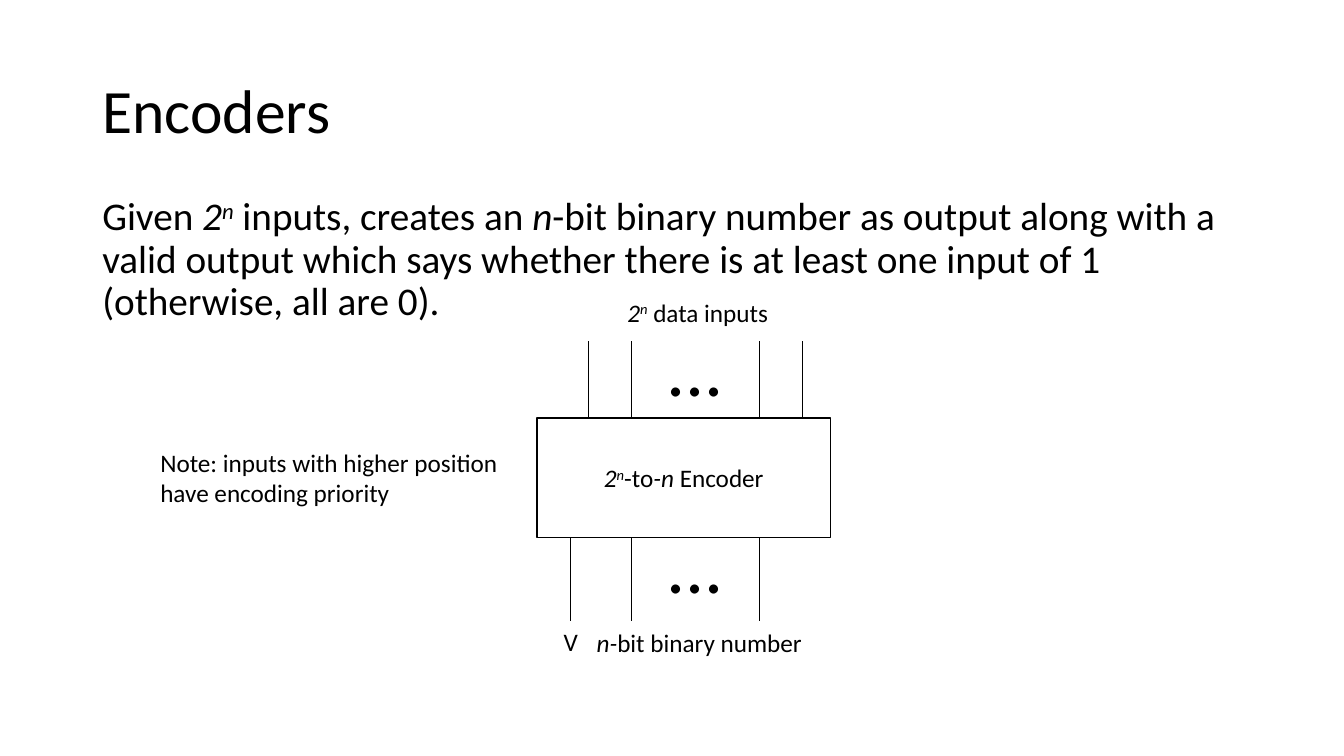
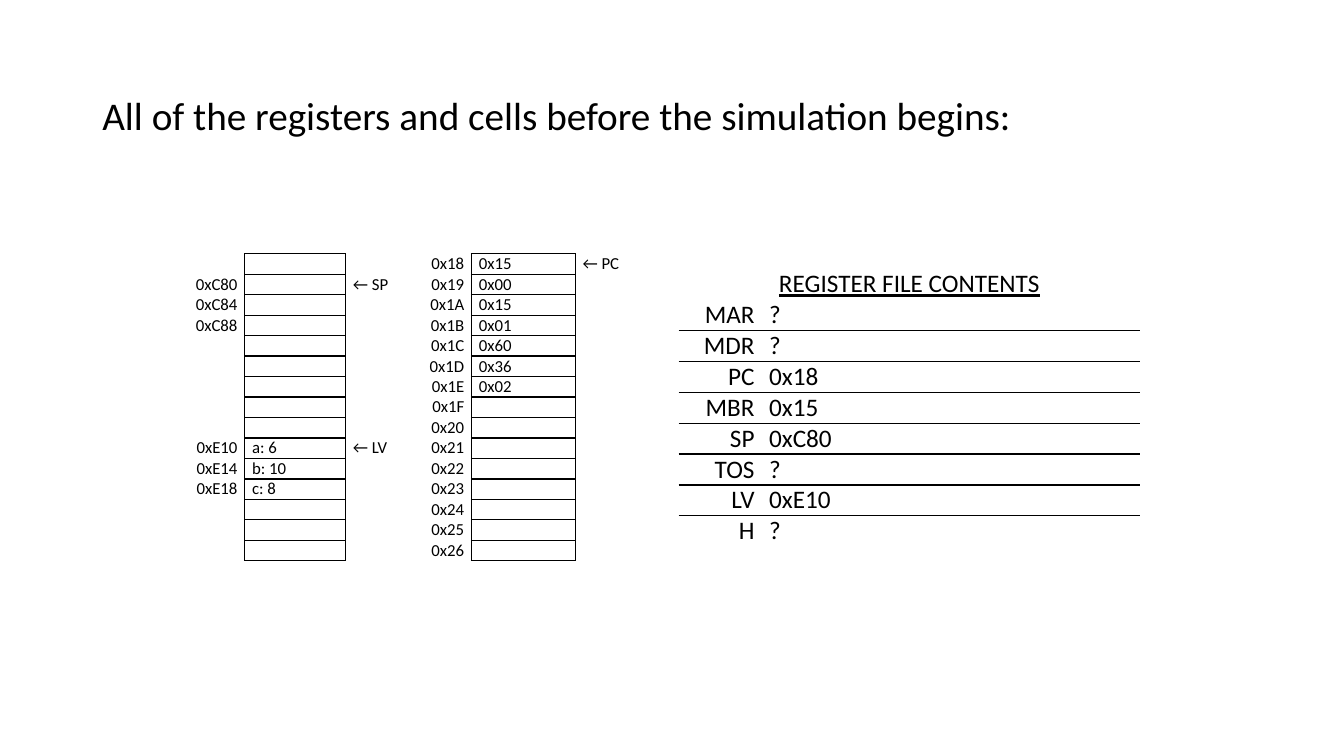
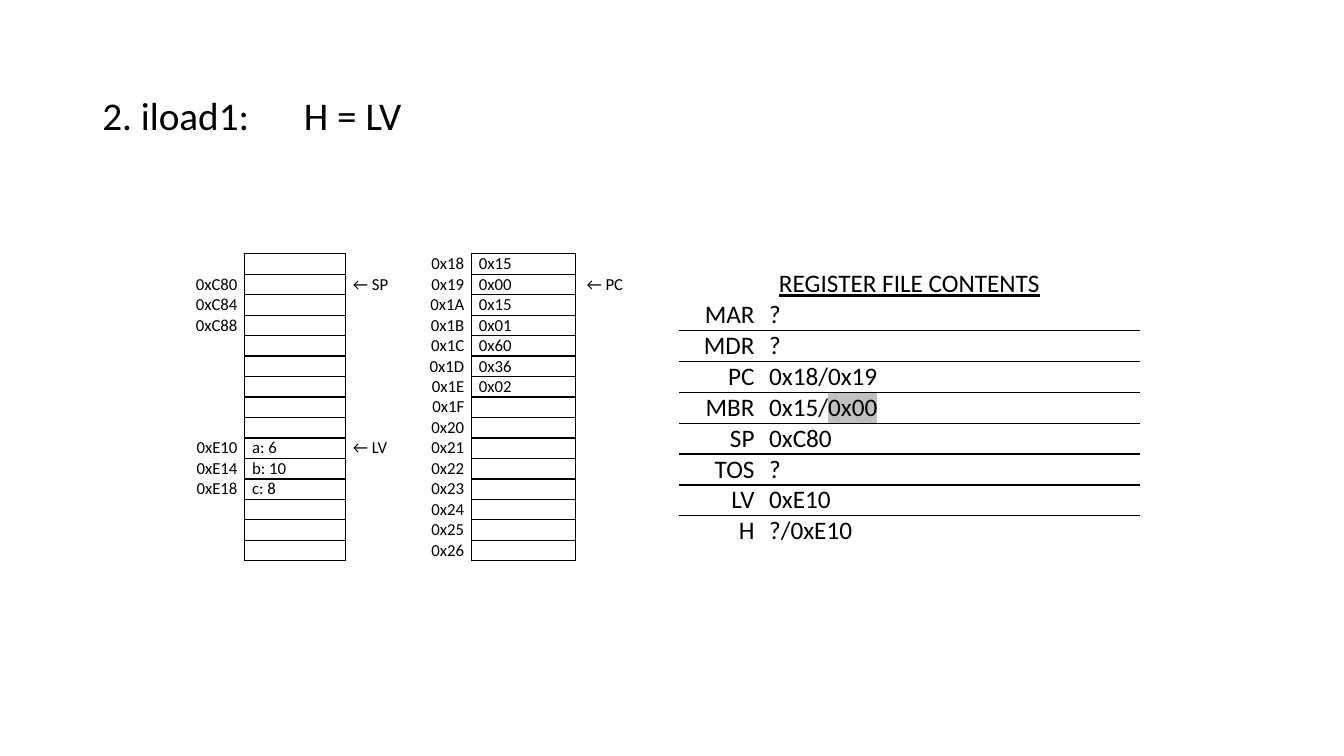
import lxml.etree
import pptx
import pptx.dml.color
import pptx.enum.shapes
import pptx.enum.text
import pptx.oxml.ns
import pptx.util

COLS, ROWS = 160, 90
WIDTH, HEIGHT = pptx.util.Inches(13.333), pptx.util.Inches(7.5)
BLACK, WHITE, GREY = "000000", "FFFFFF", "C0C0C0"
FONT = "Calibri"
MARGIN, SPAN = 11, 138
PAD = 0.87
NO_GRID = "{2D5ABB26-0587-4C30-8999-92F81FD0307C}"
ALIGN = pptx.enum.text.PP_ALIGN
LEFT, RIGHT, CENTER = ALIGN.LEFT, ALIGN.RIGHT, ALIGN.CENTER
TOP, MIDDLE = pptx.enum.text.MSO_ANCHOR.TOP, pptx.enum.text.MSO_ANCHOR.MIDDLE


def col(count):
    return round(WIDTH * count / COLS)


def row(count):
    return round(HEIGHT * count / ROWS)


def place(x, y, wide, high):
    return col(x), row(y), col(wide), row(high)


def color(code):
    return pptx.dml.color.RGBColor.from_string(code)


def node(parent, tag, **attrs):
    return lxml.etree.SubElement(parent, pptx.oxml.ns.qn(tag), attrs)


def add_run(para, text, size, marks=""):
    run = para.add_run()
    run.text = text
    font = run.font
    font.size = pptx.util.Pt(size)
    font.color.rgb = color(BLACK)
    font.name = FONT
    if "i" in marks:
        font.italic = True
    if "u" in marks:
        font.underline = True
    props = run._r.get_or_add_rPr()
    if "s" in marks:
        props.set("baseline", "30000")
    if "h" in marks:
        glow = node(props, "a:highlight")
        node(glow, "a:srgbClr", val=GREY)
        props.find(pptx.oxml.ns.qn("a:latin")).addprevious(glow)


def write(frame, lines, size, align=LEFT, space=None, stop=None):
    for order, runs in enumerate(lines):
        para = frame.add_paragraph() if order else frame.paragraphs[0]
        para.alignment = align
        if space:
            para.line_spacing = space
        if stop:
            tabs = node(para._p.get_or_add_pPr(), "a:tabLst")
            node(tabs, "a:tab", pos=str(col(stop)), algn="l")
        for text, *marks in runs:
            add_run(para, text, size, *marks)


def add_text(slide, box, lines, size, align=LEFT, anchor=TOP, wrap=False, space=None, stop=None):
    frame = slide.shapes.add_textbox(*place(*box)).text_frame
    frame.word_wrap = wrap
    frame.vertical_anchor = anchor
    write(frame, lines, size, align, space, stop)


def add_body(slide, y, high, runs, size=28, anchor=TOP, stop=None):
    add_text(slide, (MARGIN, y, SPAN, high), [runs], size,
             anchor=anchor, wrap=True, space=0.9, stop=stop)


def add_wires(slide, spots, top, end):
    for x in spots:
        wire = slide.shapes.add_connector(
            pptx.enum.shapes.MSO_CONNECTOR.STRAIGHT, col(x), row(top), col(x), row(end))
        wire.line.color.rgb = color(BLACK)
        wire.line.width = pptx.util.Pt(0.5)
        node(wire._element.spPr, "a:effectLst")


def add_block(slide, box, runs):
    block = slide.shapes.add_shape(pptx.enum.shapes.MSO_SHAPE.RECTANGLE, *place(*box))
    block.shadow.inherit = False
    block.fill.solid()
    block.fill.fore_color.rgb = color(WHITE)
    block.line.color.rgb = color(BLACK)
    block.line.width = pptx.util.Pt(1)
    block.text_frame.vertical_anchor = MIDDLE
    write(block.text_frame, [runs], 18, CENTER)


def add_grid(slide, x, y, widths, count, high):
    frame = slide.shapes.add_table(
        count, len(widths), *place(x, y, sum(widths), count * high))
    table = frame.table
    table.first_row = table.horz_banding = False
    table._tbl.tblPr.find(pptx.oxml.ns.qn("a:tableStyleId")).text = NO_GRID
    for column, wide in zip(table.columns, widths):
        column.width = col(wide)
    for line in table.rows:
        line.height = row(high)
    return table


def fill_cell(cell, runs, size, align=LEFT, sides="", pad=PAD):
    cell.margin_left, cell.margin_right = col(pad), col(PAD)
    cell.margin_top = cell.margin_bottom = 0
    props = cell._tc.get_or_add_tcPr()
    for side in "LRTB":
        edge = node(props, "a:ln" + side, w=str(pptx.util.Pt(1)))
        if side in sides:
            node(node(edge, "a:solidFill"), "a:srgbClr", val=BLACK)
        else:
            node(edge, "a:noFill")
    cell.fill.background()
    write(cell.text_frame, [runs], size, align)
    if not runs:
        node(cell.text_frame.paragraphs[0]._p, "a:endParaRPr", sz=str(size * 100))


def add_cells(slide, pc, pad=PAD):
    names = {1: "0xC80", 2: "0xC84", 3: "0xC88", 9: "0xE10", 10: "0xE14", 11: "0xE18"}
    data = {9: "a: 6", 10: "b: 10", 11: "c: 8"}
    marks = {1: "← SP", 9: "← LV"}
    code = dict(enumerate(["0x15", "0x00", "0x15", "0x01", "0x60", "0x36", "0x02"]))
    count, first = 15, 0x18
    codes = {step: f"0x{first + step:X}" for step in range(count)}
    stacks = [
        (names, RIGHT, "R", PAD), (data, LEFT, "LRTB", PAD), (marks, LEFT, "L", PAD),
        (codes, RIGHT, "R", PAD), (code, LEFT, "LRTB", PAD), ({pc: "← PC"}, LEFT, "L", pad),
    ]
    table = add_grid(slide, 22.3, 30.2, [6.85, 12, 7.5, 7.5, 12.35, 12.3], count, 2.44)
    for across, (texts, align, sides, inset) in enumerate(stacks):
        for down in range(count):
            runs = [(texts[down],)] if down in texts else []
            fill_cell(table.cell(down, across), runs, 12, align, sides, inset)


def add_file(slide, news):
    values = {"MAR": "?", "MDR": "?", "PC": "0x18", "MBR": "0x15",
              "SP": "0xC80", "TOS": "?", "LV": "0xE10", "H": "?"}
    table = add_grid(slide, 80.8, 32, [9.9, 45], len(values) + 1, 3.68)
    head = table.cell(0, 0)
    head.merge(table.cell(0, 1))
    fill_cell(head, [("REGISTER FILE CONTENTS", "u")], 18, CENTER)
    for down, (name, value) in enumerate(values.items(), 1):
        sides = ("T" if down > 1 else "") + ("B" if down < len(values) else "")
        fill_cell(table.cell(down, 0), [(name,)], 18, RIGHT, sides)
        fill_cell(table.cell(down, 1), news.get(name, [(value,)]), 18, LEFT, sides)


def add_state(deck, title, pc, news, pad=PAD, stop=None):
    slide = add_slide(deck)
    add_body(slide, 10.85, 6.1, [(title,)], stop=stop)
    add_cells(slide, pc, pad)
    add_file(slide, news)


def add_slide(deck):
    return deck.slides.add_slide(deck.slide_layouts[6])


def add_coder(deck):
    slide = add_slide(deck)
    add_body(slide, 4.8, 17.4, [("Encoders",)], 44, MIDDLE)
    add_body(slide, 22.85, 19.4, [
        ("Given ",), ("2", "i"), ("n", "is"), (" inputs, creates an ",), ("n", "i"),
        ("-bit binary number as output along with a valid output which says whether "
         "there is at least one input of 1 (otherwise, all are 0).",)])
    top, end = 49.75, 64
    add_wires(slide, [70.1, 75.15, 90.4, 95.5], 40.6, top)
    add_wires(slide, [67.9, 75.15, 90.4], end, 73.9)
    add_block(slide, (63.95, top, 34.9, end - top), [
        ("2", "i"), ("n", "is"), ("-to",), ("-n", "i"), (" Encoder",)])
    for y in (37.65, 61.1):
        add_text(slide, (78.15, y, 9.4, 12.1), [[("...",)]], 54)
    add_text(slide, (73.5, 34.8, 19.6, 4.8),
             [[("2", "i"), ("n", "is"), (" data inputs",)]], 18)
    add_text(slide, (69.7, 74.1, 27.1, 4.8),
             [[("n-", "i"), ("bit binary number",)]], 18, CENTER)
    add_text(slide, (65.85, 74, 4.2, 4.8), [[("V",)]], 18, CENTER)
    add_text(slide, (17.9, 52.65, 43.1, 8.5),
             [[("Note: inputs with higher position",)], [("have encoding priority",)]], 18)


def main():
    deck = pptx.Presentation()
    deck.slide_width, deck.slide_height = WIDTH, HEIGHT
    add_coder(deck)
    add_state(deck, "All of the registers and cells before the simulation begins:", 0, {})
    add_state(deck, "2. iload1:\tH = LV", 1, {
        "PC": [("0x18/0x19",)],
        "MBR": [("0x15/",), ("0x00", "h")],
        "H": [("?/0xE10",)],
    }, pad=1.35, stop=24)
    deck.save("out.pptx")


if __name__ == "__main__":
    main()
